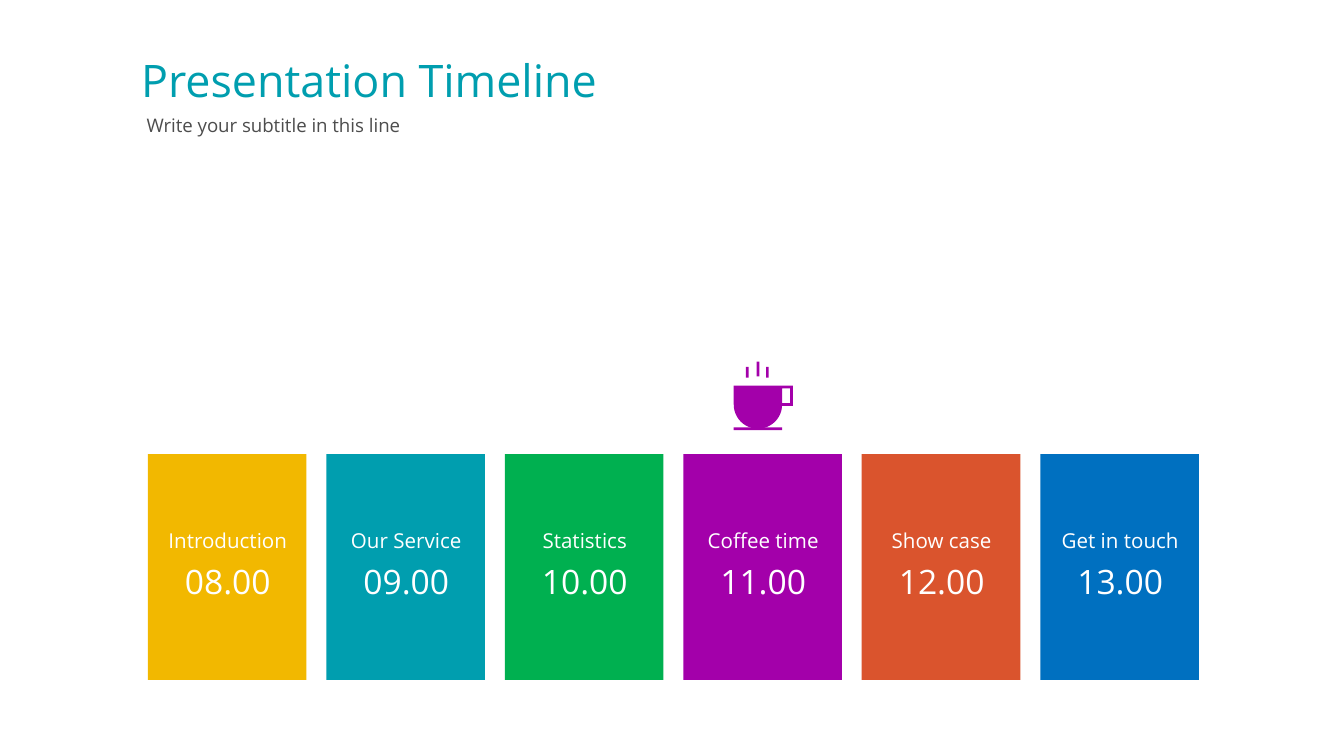
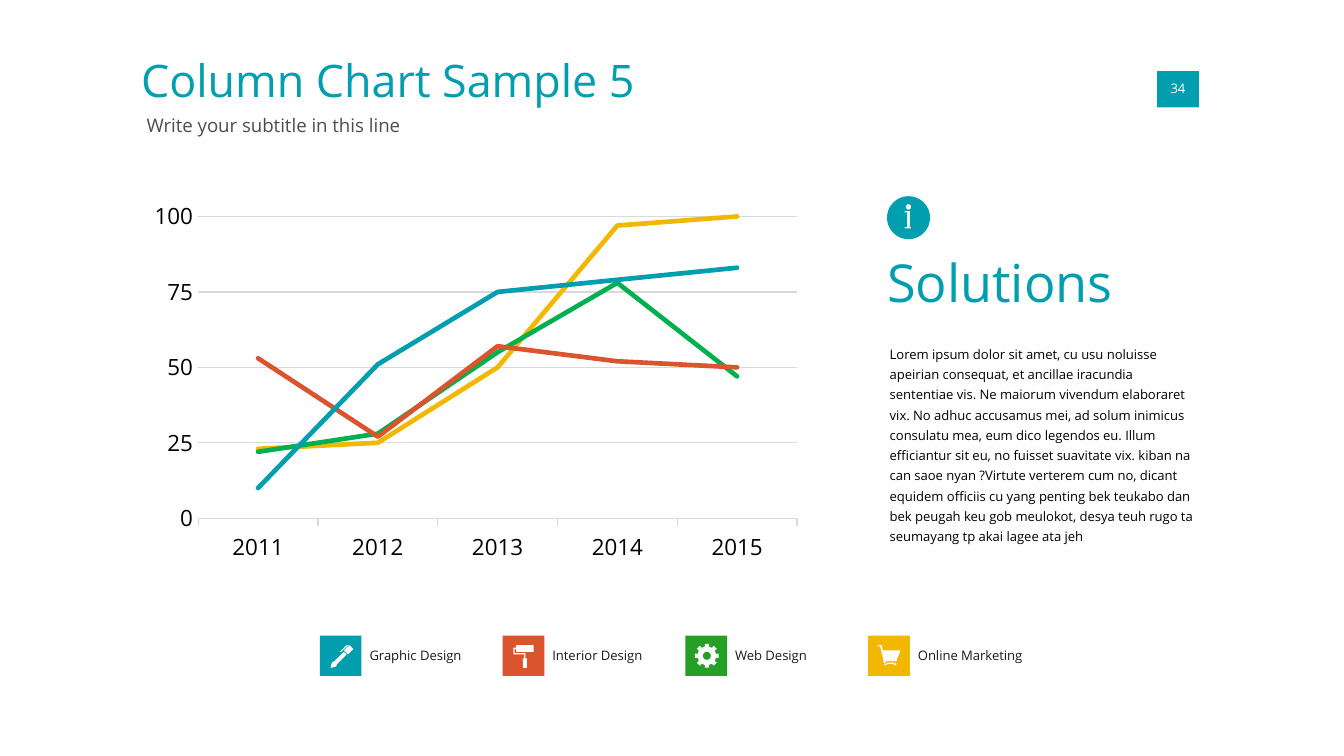
"""Builds a timeline slide and a line chart slide in one shared style."""
import math

from pptx import Presentation, util as u
from pptx.chart import data
from pptx.dml import color as c
from pptx.enum import chart as ce, shapes, text

FONT = "Open Sans"
TEAL, GOLD, GREEN = "009EAF", "F2B800", "00B050"
PURPLE, ORANGE, BLUE = "A300AA", "DA542D", "0070C0"
LEAF, GRAY, INK, RULE = "269F26", "4D4D4D", "1A1A1A", "D9D9D9"
WHITE, BLACK = "FFFFFF", "000000"
CENTER = text.PP_ALIGN.CENTER


def paint(shape, color):
    """Give a shape a flat fill without line or shadow."""
    shape.shadow.inherit = False
    shape.fill.solid()
    shape.fill.fore_color.rgb = c.RGBColor.from_string(color)
    shape.line.fill.background()


def write(box, place, words, size, color, align=text.PP_ALIGN.LEFT, spacing=1.0):
    """Place a box without insets and write one styled paragraph in it."""
    box.left, box.top, box.width, box.height = map(u.Inches, place)
    frame = box.text_frame
    frame.margin_left = frame.margin_right = frame.margin_top = frame.margin_bottom = 0
    frame.word_wrap = True
    frame.auto_size = text.MSO_AUTO_SIZE.NONE
    frame.vertical_anchor = text.MSO_ANCHOR.TOP
    para = frame.paragraphs[0]
    para.alignment, para.line_spacing = align, spacing
    span = para.add_run()
    span.text = words
    span.font.name, span.font.size = FONT, u.Pt(size)
    span.font.color.rgb = c.RGBColor.from_string(color)


deck = Presentation()
deck.slide_width, deck.slide_height = u.Inches(10), u.Inches(10 * 9 / 16)

pages = []
for title in ("Presentation Timeline", "Column Chart Sample 5"):
    page = deck.slides.add_slide(deck.slide_layouts[5])
    write(page.shapes.title, (1.05, 0.39, 4.76, 0.49), title, 24, TEAL)
    subtitle = page.shapes.add_textbox(0, 0, 0, 0)
    write(subtitle, (1.09, 0.85, 6.91, 0.23), "Write your subtitle in this line", 10, GRAY)
    pages.append(page)
timeline, report = pages

sessions = [
    ("Introduction", GOLD),
    ("Our Service", TEAL),
    ("Statistics", GREEN),
    ("Coffee time", PURPLE),
    ("Show case", ORANGE),
    ("Get in touch", BLUE),
]
lefts = [1.1 + index * 6.64 / 5 for index in range(6)]
blocks = [
    (timeline, (left, 3.38, 1.18, 1.68), color)
    for left, (session, color) in zip(lefts, sessions)
]

services = [
    ("Graphic Design", TEAL),
    ("Interior Design", ORANGE),
    ("Web Design", LEAF),
    ("Online Marketing", GOLD),
]
for index, (service, color) in enumerate(services):
    blocks.append((report, (2.38 + index * 1.36, 4.73, 0.31, 0.3), color))

blocks.append((report, (8.61, 0.53, 0.31, 0.27), TEAL))
saucer_and_steam = [
    (5.46, 3.18, 0.36, 0.02),
    (5.55, 2.73, 0.02, 0.08),
    (5.63, 2.69, 0.02, 0.11),
    (5.7, 2.73, 0.02, 0.08),
]
blocks += [(timeline, place, PURPLE) for place in saucer_and_steam]
for page, place, color in blocks:
    block = page.shapes.add_shape(shapes.MSO_SHAPE.RECTANGLE, *map(u.Inches, place))
    paint(block, color)

for index, (left, (session, color)) in enumerate(zip(lefts, sessions)):
    hour = timeline.shapes.add_textbox(0, 0, 0, 0)
    write(hour, (left + 0.09, 4.21, 1.01, 0.39), f"{8 + index:02}.00", 18, WHITE, CENTER, 0.9)
    label = timeline.shapes.add_textbox(0, 0, 0, 0)
    write(label, (left, 3.93, 1.19, 0.29), session, 11, WHITE, CENTER)

label_widths = (0.73, 0.79, 0.64, 0.79)
for index, ((service, color), width) in enumerate(zip(services, label_widths)):
    label = report.shapes.add_textbox(0, 0, 0, 0)
    write(label, (2.75 + index * 1.36, 4.82, width, 0.17), service, 7, INK)

number = report.shapes.add_textbox(0, 0, 0, 0)
write(number, (8.71, 0.6, 0.11, 0.12), "34", 7, WHITE, CENTER)
number.text_frame.word_wrap = False
number.text_frame.vertical_anchor = text.MSO_ANCHOR.MIDDLE

heading = report.shapes.add_textbox(0, 0, 0, 0)
write(heading, (6.6, 1.86, 2.25, 0.57), "Solutions", 28, TEAL)
body = report.shapes.add_textbox(0, 0, 0, 0)
story = (
    "Lorem ipsum dolor sit amet, cu usu noluisse apeirian consequat, et ancillae "
    "iracundia sententiae vis. Ne maiorum vivendum elaboraret vix. No adhuc accusamus "
    "mei, ad solum inimicus consulatu mea, eum dico legendos eu. Illum efficiantur sit "
    "eu, no fuisset suavitate vix. kiban na can saoe nyan ?Virtute verterem cum no, "
    "dicant equidem officiis cu yang penting bek teukabo dan bek peugah keu gob "
    "meulokot, desya teuh rugo ta seumayang tp akai lagee ata jeh"
)
write(body, (6.62, 2.54, 2.29, 1.63), story, 7, BLACK, spacing=1.3)

series_rows = [
    ("Series 1", (23, 25, 50, 97, 100), GOLD),
    ("Series 2", (22, 28, 55, 78, 47), GREEN),
    ("Series 3", (53, 27, 57, 52, 50), ORANGE),
    ("Series 4", (10, 51, 75, 79, 83), TEAL),
]
chart_data = data.CategoryChartData()
chart_data.categories = ["2011", "2012", "2013", "2014", "2015"]
for name, values, color in series_rows:
    chart_data.add_series(name, values)
place = map(u.Inches, (1.05, 1.44, 4.98, 2.8))
chart = report.shapes.add_chart(ce.XL_CHART_TYPE.LINE, *place, chart_data).chart
chart.has_legend = chart.has_title = False
chart.font.name, chart.font.size = "Calibri", u.Pt(10)
chart.font.color.rgb = c.RGBColor.from_string(BLACK)
chart.plots[0].vary_by_categories = False
for series, (name, values, color) in zip(chart.plots[0].series, series_rows):
    series.smooth = False
    series.format.line.width = u.Pt(2.5)
    series.format.line.color.rgb = c.RGBColor.from_string(color)
    series.format.line._get_or_add_ln().set("cap", "rnd")

years, scale = chart.category_axis, chart.value_axis
for axis in (years, scale):
    axis.tick_labels.font.name, axis.tick_labels.font.size = FONT, u.Pt(12)
    axis.tick_labels.font.color.rgb = c.RGBColor.from_string(BLACK)
    axis.minor_tick_mark = ce.XL_TICK_MARK.NONE
years.major_tick_mark = ce.XL_TICK_MARK.OUTSIDE
scale.major_tick_mark = ce.XL_TICK_MARK.NONE
scale.minimum_scale, scale.maximum_scale, scale.major_unit = 0, 100, 25
scale.format.line.fill.background()
for line in (years.format.line, scale.major_gridlines.format.line):
    line.color.rgb = c.RGBColor.from_string(RULE)
    line.width = u.Pt(0.75)

angles = [math.radians(step * 7.5) for step in range(48)]
circles = [
    [(x + radius * math.cos(angle), y + radius * math.sin(angle)) for angle in angles]
    for x, y, radius in [
        (6.76, 1.62, 0.16),
        (6.76, 1.54, 0.02),
        (5.26, 4.88, 0.03),
        (6.59, 4.94, 0.01),
        (6.66, 4.94, 0.01),
    ]
]
disc, dot, hub, rear_wheel, front_wheel = circles
bowl = [(5.64 + 0.18 * math.cos(angle), 3.01 + 0.18 * math.sin(angle)) for angle in angles[:25]]
cup = [(5.46, 2.87), (5.9, 2.87), (5.9, 3.02), (5.82, 3.02)] + bowl
handle = [(5.82, 2.89), (5.88, 2.89), (5.88, 3), (5.82, 3)]
stem = [(6.73, 1.57), (6.77, 1.57), (6.77, 1.69), (6.78, 1.69), (6.78, 1.7),
        (6.73, 1.7), (6.73, 1.69), (6.75, 1.69), (6.75, 1.58), (6.73, 1.58)]
pen = [(2.56, 4.84), (2.6, 4.8), (2.63, 4.83), (2.59, 4.87)]
clip = [(2.53, 4.85), (2.58, 4.8), (2.59, 4.8), (2.54, 4.85)]
nib = [(2.56, 4.85), (2.58, 4.87), (2.51, 4.94), (2.5, 4.96), (2.46, 4.97),
       (2.47, 4.93), (2.49, 4.92)]
roller = [(3.84, 4.8), (3.97, 4.8), (3.97, 4.85), (3.84, 4.85)]
arm = [(3.84, 4.82), (3.82, 4.82), (3.82, 4.87), (3.9, 4.87), (3.9, 4.9),
       (3.91, 4.9), (3.91, 4.86), (3.83, 4.86), (3.83, 4.83), (3.84, 4.83)]
grip = [(3.89, 4.9), (3.92, 4.9), (3.92, 4.97), (3.89, 4.97)]
gear = [
    (5.26 + radius * math.cos(math.radians(tooth * 45 + turn)),
     4.88 + radius * math.sin(math.radians(tooth * 45 + turn)))
    for tooth in range(8)
    for radius, turn in [(0.07, -12), (0.09, -10), (0.09, 10), (0.07, 12)]
]
cart = [(6.53, 4.8), (6.56, 4.8), (6.57, 4.84), (6.7, 4.84), (6.67, 4.92), (6.59, 4.92),
        (6.59, 4.93), (6.66, 4.93), (6.66, 4.94), (6.58, 4.94), (6.55, 4.81), (6.53, 4.81)]

icons = [
    (timeline, PURPLE, [cup, handle]),
    (report, TEAL, [disc, dot, stem]),
    (report, WHITE, [pen, clip, nib]),
    (report, WHITE, [roller, arm, grip]),
    (report, WHITE, [gear, hub]),
    (report, WHITE, [cart, rear_wheel, front_wheel]),
]
for page, color, contours in icons:
    outlines = [[(u.Inches(x), u.Inches(y)) for x, y in contour] for contour in contours]
    builder = page.shapes.build_freeform(*outlines[0][0])
    builder.add_line_segments(outlines[0][1:], close=True)
    for outline in outlines[1:]:
        builder.move_to(*outline[0])
        builder.add_line_segments(outline[1:], close=True)
    paint(builder.convert_to_shape(), color)

deck.save("out.pptx")
